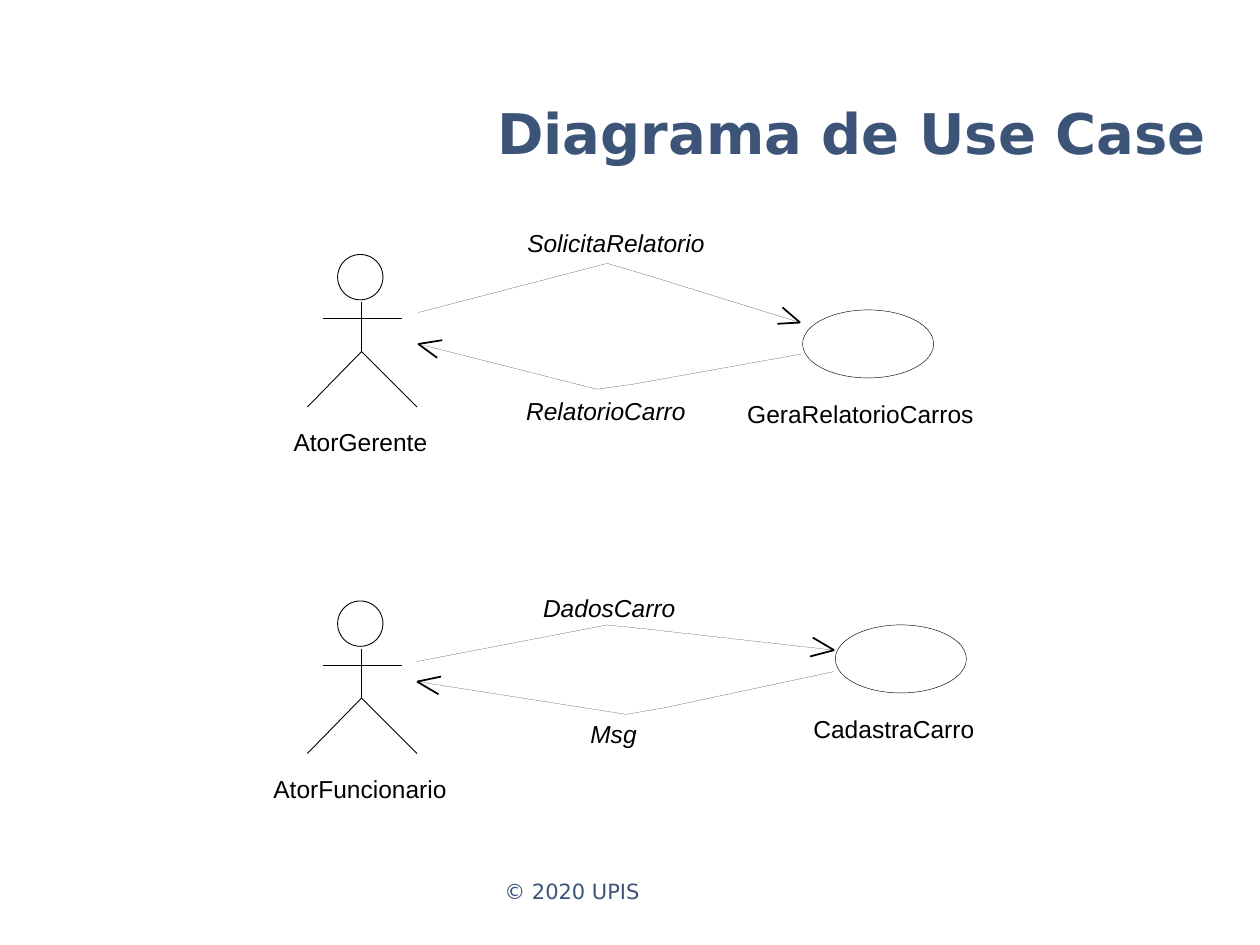
from pptx import Presentation
from pptx.dml.color import RGBColor
from pptx.enum.shapes import MSO_CONNECTOR as Connector, MSO_SHAPE as Shape
from pptx.enum.text import MSO_ANCHOR as Anchor, MSO_AUTO_SIZE as AutoSize, PP_ALIGN as Align
from pptx.oxml.ns import qn
from pptx.util import Inches, Pt
from lxml import etree


def color(value):
    return RGBColor.from_string(value)


class DiagramSlide:
    ink = "000000"
    accent = "3D5479"
    label_font = "Arial"
    heading_font = "DejaVu Sans"
    hairline, thin, medium, bold = 0.05, 0.25, 0.5, 1
    actor_center = 2.87

    def __init__(self, presentation):
        self.slide = presentation.slides.add_slide(presentation.slide_layouts[6])
        self.shapes = self.slide.shapes

    def text(self, words, left, top, width, height, font, size, ink, align=Align.LEFT,
             bold=False, italic=False):
        shape = self.shapes.add_textbox(*map(Inches, (left, top, width, height)))
        paragraph = shape.text_frame.paragraphs[0]
        paragraph.alignment = align
        run = paragraph.add_run()
        run.text = words
        run.font.name = font
        run.font.size = Pt(size)
        run.font.bold = bold
        run.font.italic = italic
        run.font.color.rgb = color(ink)
        return shape.text_frame

    def heading(self, words, left, top, width, height, size, align, bold=False):
        frame = self.text(words, left, top, width, height, self.heading_font, size,
                          self.accent, align, bold)
        frame.word_wrap = True
        frame.vertical_anchor = Anchor.MIDDLE

    def label(self, words, center, top, width, italic=False):
        frame = self.text(words, center - width / 2, top, width, 0.23,
                          self.label_font, 14, self.ink, italic=italic)
        frame.margin_left = frame.margin_right = frame.margin_top = frame.margin_bottom = 0
        frame.word_wrap = False
        frame.auto_size = AutoSize.SHAPE_TO_FIT_TEXT

    def outline(self, shape, weight):
        shape.shadow.inherit = False
        shape.fill.background()
        shape.line.color.rgb = color(self.ink)
        shape.line.width = Pt(weight)

    def ellipse(self, left, top, width, height, weight):
        shape = self.shapes.add_shape(Shape.OVAL, *map(Inches, (left, top, width, height)))
        self.outline(shape, weight)

    def polyline(self, points, weight):
        start, *others = [(Inches(x), Inches(y)) for x, y in points]
        builder = self.shapes.build_freeform(*start)
        builder.add_line_segments(others, close=False)
        self.outline(builder.convert_to_shape(), weight)

    def line(self, start, end, weight):
        connector = self.shapes.add_connector(Connector.STRAIGHT, *map(Inches, (*start, *end)))
        connector.line.color.rgb = color(self.ink)
        connector.line.width = Pt(weight)
        etree.SubElement(connector._element.spPr, qn("a:effectLst"))

    def actor(self, name, top, label_width):
        neck, arms, hips, feet = (top + drop for drop in (0.38, 0.51, 0.77, 1.21))
        self.ellipse(2.68, top, 0.36, 0.36, self.medium)
        self.line((2.87, neck), (2.87, hips), self.medium)
        self.line((2.56, arms), (3.19, arms), self.medium)
        self.polyline([(2.44, feet), (2.87, hips), (3.31, feet)], self.medium)
        self.label(name, self.actor_center, top + 1.37, label_width)

    def use_case(self, name, left, top, label_width):
        self.ellipse(left, top, 1.04, 0.54, self.thin)
        self.label(name, left + 0.47, top + 0.71, label_width)

    def message(self, name, label_center, label_top, label_width, bend, straight, tip, barbs):
        self.polyline(bend, self.hairline)
        self.line(*straight, self.hairline)
        for barb in barbs:
            self.line(tip, barb, self.bold)
        self.label(name, label_center, label_top, label_width, italic=True)


def main():
    presentation = Presentation()
    presentation.slide_width = Inches(10)
    presentation.slide_height = Inches(7.5)
    diagram = DiagramSlide(presentation)

    diagram.heading("© 2020 UPIS", 3, 6.92, 3.08, 0.3, 12, Align.CENTER)

    diagram.actor("AtorGerente", 2.02, 1.08)
    diagram.use_case("GeraRelatorioCarros", 6.37, 2.46, 1.82)
    diagram.message("SolicitaRelatorio", 4.9, 1.81, 1.43,
                    [(5.09, 2.17), (4.82, 2.09), (3.32, 2.48)],
                    ((5.09, 2.17), (6.35, 2.56)), (6.35, 2.56), [(6.21, 2.44), (6.17, 2.57)])
    diagram.message("RelatorioCarro", 4.82, 3.14, 1.29,
                    [(5.02, 3.05), (4.74, 3.09), (3.32, 2.73)],
                    ((5.02, 3.05), (6.36, 2.81)), (3.32, 2.73), [(3.51, 2.7), (3.47, 2.84)])

    diagram.actor("AtorFuncionario", 4.77, 1.4)
    diagram.use_case("CadastraCarro", 6.63, 4.96, 1.29)
    diagram.message("DadosCarro", 4.85, 4.71, 1.08,
                    [(5.11, 4.99), (4.82, 4.96), (3.31, 5.25)],
                    ((5.11, 4.99), (6.62, 5.16)), (6.62, 5.16), [(6.45, 5.06), (6.43, 5.21)])
    diagram.message("Msg", 4.88, 5.71, 0.39,
                    [(5.26, 5.62), (4.97, 5.67), (3.31, 5.41)],
                    ((5.26, 5.62), (6.62, 5.33)), (3.31, 5.41), [(3.5, 5.37), (3.48, 5.51)])

    diagram.heading("Diagrama de Use Case ", 2.08, 0.67, 7.75, 0.75, 32, Align.RIGHT, bold=True)
    presentation.save("out.pptx")


if __name__ == "__main__":
    main()
